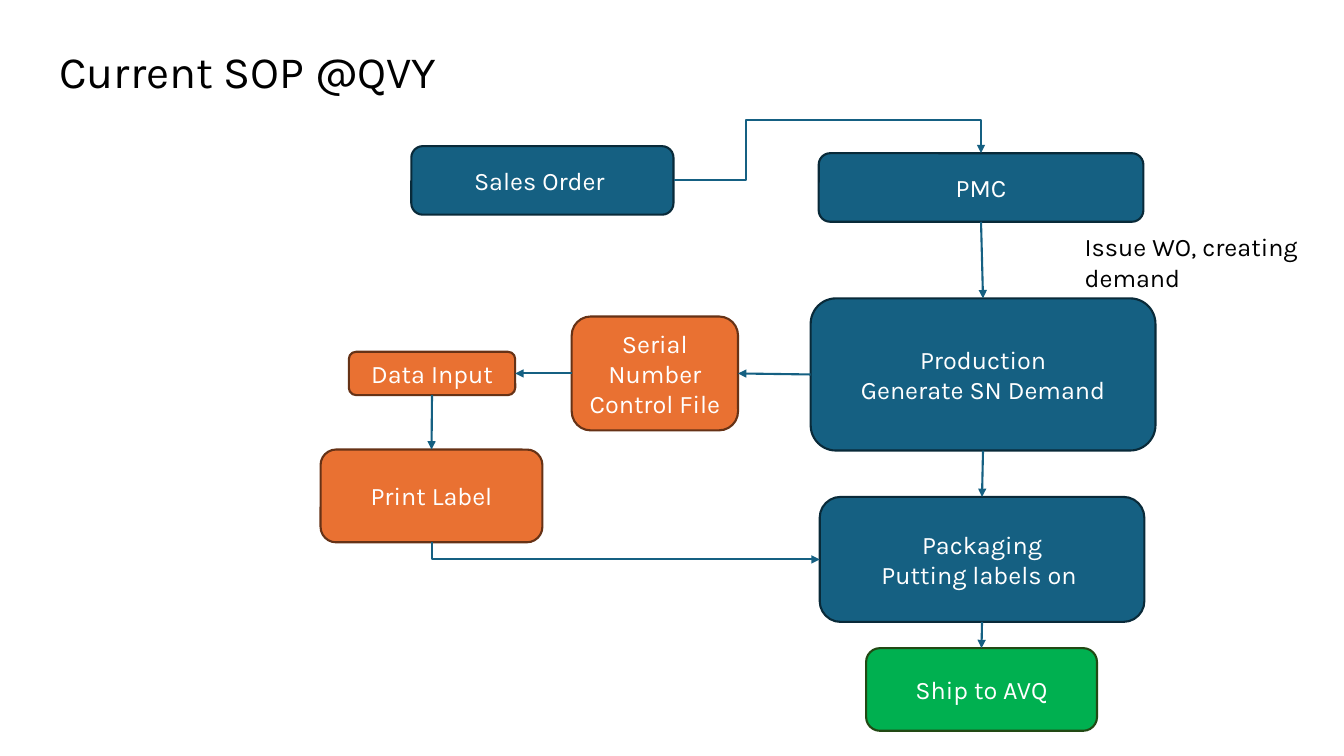
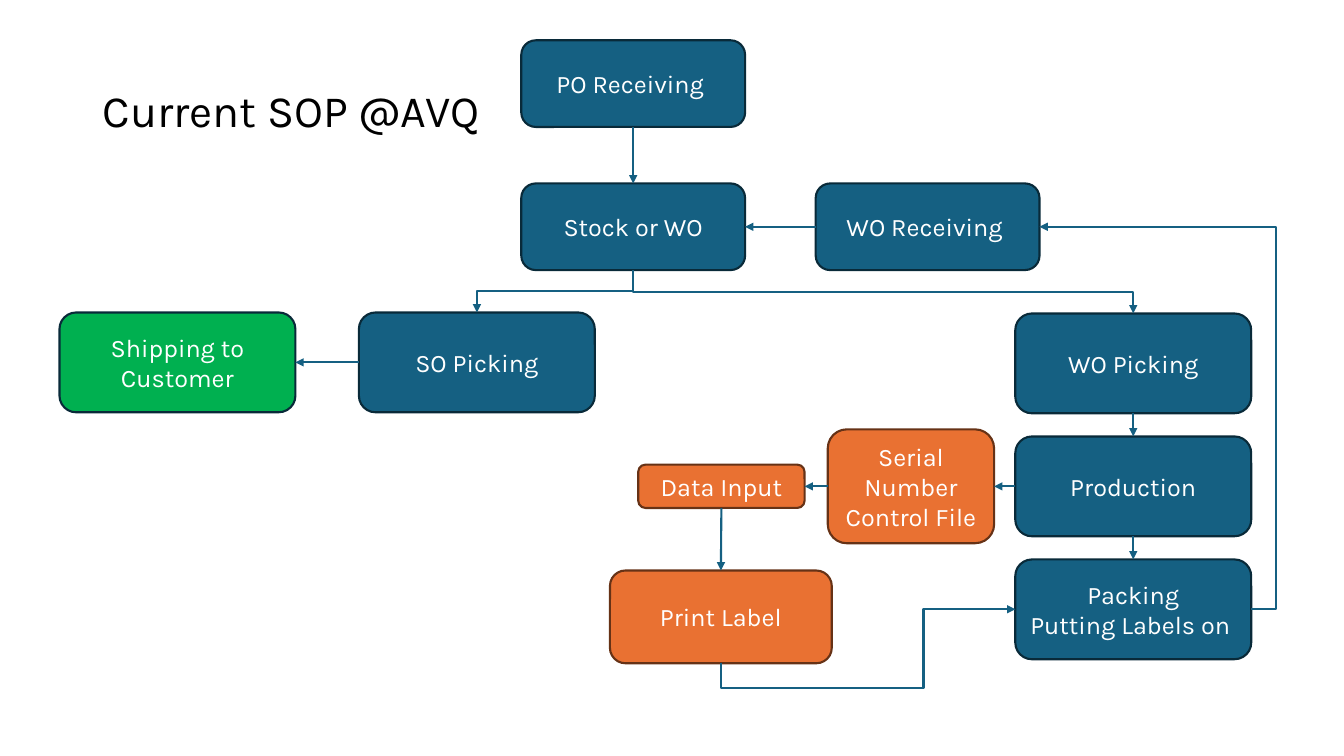
import pptx
import pptx.dml.color
import pptx.enum.shapes
import pptx.enum.text
import pptx.oxml
import pptx.oxml.ns
import pptx.util

Inches = pptx.util.Inches
RGBColor = pptx.dml.color.RGBColor
ALIGN = pptx.enum.text.PP_ALIGN
ANCHOR = pptx.enum.text.MSO_ANCHOR
CONNECTOR = pptx.enum.shapes.MSO_CONNECTOR

COLORS = {
    "blue": "156082", "blue edge": "092A39",
    "orange": "E97132", "orange edge": "663216",
    "green": "00B050", "green edge": "224914",
    "white": "FFFFFF", "black": "000000",
}
FONT = "Karla"
LINE_WIDTH = pptx.util.Pt(1.5)
TOP, LEFT, BOTTOM, RIGHT = range(4)

TITLE_SIZE = (11.5, 1.45)
LABEL_SIZE = (2.2, 0.92)
INPUT_SIZE = (1.65, 0.43)
FILE_SIZE = (1.65, 1.13)
RECEIVING_SIZE = (2.22, 0.86)
STEP_SIZE = (2.34, 0.99)

# boxes: name -> (text, left and top, size, fill, edge)
# arrows: (from box, side, to box, side)
# bends: the same, then (preset, rotation, flips, adjustments)
SLIDES = [
    {
        "title": ("Current SOP @QVY", (0.49, 0.01)),
        "note": ("Issue WO, creating demand", (10.66, 2.25), (2.48, 0.71)),
        "boxes": {
            "label": ("Print Label", (3.18, 4.46), LABEL_SIZE, "orange", "orange edge"),
            "input": ("Data Input", (3.46, 3.49), INPUT_SIZE, "orange", "orange edge"),
            "file": ("Serial Number Control File", (5.67, 3.14), FILE_SIZE, "orange", "orange edge"),
            "production": ("Production\nGenerate SN Demand", (8.04, 2.96), (3.42, 1.51), "blue", "blue edge"),
            "pmc": ("PMC", (8.12, 1.52), (3.22, 0.68), "blue", "blue edge"),
            "packaging": ("Packaging\nPutting labels on ", (8.13, 4.93), (3.22, 1.24), "blue", "blue edge"),
            "order": ("Sales Order ", (4.08, 1.45), (2.6, 0.68), "blue", "blue edge"),
            "ship": ("Ship to AVQ", (8.59, 6.43), (2.29, 0.82), "green", "green edge"),
        },
        "arrows": [
            ("pmc", BOTTOM, "production", TOP),
            ("production", LEFT, "file", RIGHT),
            ("production", BOTTOM, "packaging", TOP),
            ("packaging", BOTTOM, "ship", TOP),
            ("file", LEFT, "input", RIGHT),
            ("input", BOTTOM, "label", TOP),
        ],
        "bends": [
            ("label", BOTTOM, "packaging", LEFT, ("bentConnector2", 270, "H", [])),
            ("order", RIGHT, "pmc", TOP, ("bentConnector4", 0, "V", [0.236, 2.215])),
        ],
    },
    {
        "title": ("Current SOP @AVQ", (0.92, 0.4)),
        "boxes": {
            "po": ("PO Receiving ", (5.17, 0.4), RECEIVING_SIZE, "blue", "blue edge"),
            "stock": ("Stock or WO", (5.17, 1.82), RECEIVING_SIZE, "blue", "blue edge"),
            "receiving": ("WO Receiving ", (8.09, 1.82), RECEIVING_SIZE, "blue", "blue edge"),
            "shipping": ("Shipping to Customer", (0.59, 3.1), STEP_SIZE, "green", "blue edge"),
            "so": ("SO Picking", (3.56, 3.1), STEP_SIZE, "blue", "blue edge"),
            "wo": ("WO Picking", (10.07, 3.11), STEP_SIZE, "blue", "blue edge"),
            "production": ("Production", (10.07, 4.33), STEP_SIZE, "blue", "blue edge"),
            "packing": ("Packing\vPutting Labels on ", (10.07, 5.55), STEP_SIZE, "blue", "blue edge"),
            "label": ("Print Label", (6.05, 5.66), LABEL_SIZE, "orange", "orange edge"),
            "input": ("Data Input", (6.33, 4.61), INPUT_SIZE, "orange", "orange edge"),
            "file": ("Serial Number Control File", (8.21, 4.26), FILE_SIZE, "orange", "orange edge"),
        },
        "arrows": [
            ("po", BOTTOM, "stock", TOP),
            ("so", LEFT, "shipping", RIGHT),
            ("wo", BOTTOM, "production", TOP),
            ("receiving", LEFT, "stock", RIGHT),
            ("production", BOTTOM, "packing", TOP),
            ("production", LEFT, "file", RIGHT),
            ("file", LEFT, "input", RIGHT),
            ("input", BOTTOM, "label", TOP),
        ],
        "bends": [
            ("stock", BOTTOM, "so", TOP, ("bentConnector3", 90, "", [0.5])),
            ("stock", BOTTOM, "wo", TOP, ("bentConnector3", 270, "H", [0.5])),
            ("label", BOTTOM, "packing", LEFT, ("bentConnector4", 90, "HV", [-0.459, 0.688])),
            ("packing", RIGHT, "receiving", RIGHT, ("bentConnector3", 0, "HV", [-0.119])),
        ],
    },
]


def write_text(shape, text, color, size=18, alignment=ALIGN.LEFT, anchor=ANCHOR.TOP, spacing=1.0):
    frame = shape.text_frame
    frame.text = text
    frame.word_wrap = True
    frame.vertical_anchor = anchor
    font_format = {"name": FONT, "size": pptx.util.Pt(size)}
    for paragraph in frame.paragraphs:
        paragraph.alignment = alignment
        paragraph.line_spacing = spacing
        for run in paragraph.runs:
            for attribute, value in font_format.items():
                setattr(run.font, attribute, value)
            run.font.color.rgb = RGBColor.from_string(COLORS[color])


def bend(connector, preset, rotation, flips, adjustments):
    """Route a joined connector by its preset, turned about the middle of its ends."""
    width = abs(connector.end_x - connector.begin_x)
    height = abs(connector.end_y - connector.begin_y)
    middle_x = (connector.begin_x + connector.end_x) // 2
    middle_y = (connector.begin_y + connector.end_y) // 2
    if rotation in (90, 270):
        width, height = height, width
    placement = {"left": middle_x - width // 2, "top": middle_y - height // 2,
                 "width": width, "height": height}
    for attribute, value in placement.items():
        setattr(connector, attribute, value)
    properties = connector._element.spPr
    transform = properties.find(pptx.oxml.ns.qn("a:xfrm"))
    transform.set("rot", str(rotation * 60000))
    for axis in "HV":
        transform.set("flip" + axis, str(int(axis in flips)))
    geometry = properties.find(pptx.oxml.ns.qn("a:prstGeom"))
    geometry.set("prst", preset)
    guides = geometry.find(pptx.oxml.ns.qn("a:avLst"))
    for number, value in enumerate(adjustments, 1):
        guide = pptx.oxml.parse_xml(f'<a:gd {pptx.oxml.ns.nsdecls("a")}/>')
        guide.set("name", f"adj{number}")
        guide.set("fmla", f"val {round(value * 100000)}")
        guides.append(guide)


presentation = pptx.Presentation()
presentation.slide_width = Inches(13.33)
presentation.slide_height = Inches(7.5)

for content in SLIDES:
    slide = presentation.slides.add_slide(presentation.slide_layouts[6])

    title, position = content["title"]
    title_box = slide.shapes.add_textbox(*map(Inches, position + TITLE_SIZE))
    write_text(title_box, title, "black", size=32, anchor=ANCHOR.MIDDLE, spacing=0.9)

    boxes = {}
    for name, (text, position, size, fill, edge) in content["boxes"].items():
        box = slide.shapes.add_shape(
            pptx.enum.shapes.MSO_SHAPE.ROUNDED_RECTANGLE, *map(Inches, position + size))
        box.shadow.inherit = False
        box.fill.solid()
        box.fill.fore_color.rgb = RGBColor.from_string(COLORS[fill])
        box.line.color.rgb = RGBColor.from_string(COLORS[edge])
        box.line.width = LINE_WIDTH
        write_text(box, text, "white", alignment=ALIGN.CENTER, anchor=ANCHOR.MIDDLE)
        boxes[name] = box

    if "note" in content:
        text, position, size = content["note"]
        note = slide.shapes.add_textbox(*map(Inches, position + size))
        write_text(note, text, "black")
        note.text_frame.auto_size = pptx.enum.text.MSO_AUTO_SIZE.SHAPE_TO_FIT_TEXT

    for start, start_side, end, end_side, *route in content["arrows"] + content["bends"]:
        kind = CONNECTOR.ELBOW if route else CONNECTOR.STRAIGHT
        connector = slide.shapes.add_connector(kind, 0, 0, 0, 0)
        connector.begin_connect(boxes[start], start_side)
        connector.end_connect(boxes[end], end_side)
        if route:
            bend(connector, *route[0])
        connector.line.color.rgb = RGBColor.from_string(COLORS["blue"])
        connector.line.width = LINE_WIDTH
        namespace = pptx.oxml.ns.nsdecls("a")
        connector.line._get_or_add_ln().append(
            pptx.oxml.parse_xml(f'<a:tailEnd {namespace} type="triangle"/>'))
        connector._element.spPr.append(pptx.oxml.parse_xml(f"<a:effectLst {namespace}/>"))

presentation.save("out.pptx")
